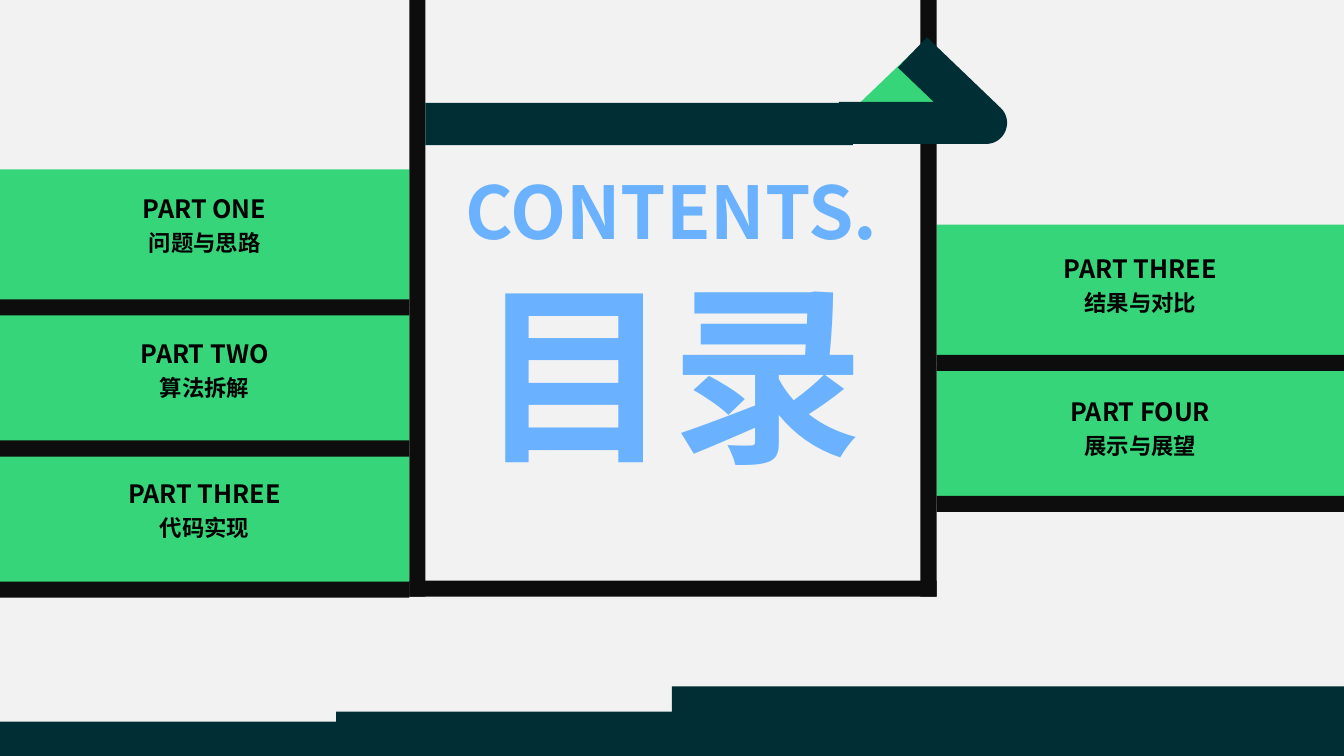
import pptx
import pptx.dml.color
import pptx.enum.shapes
import pptx.enum.text
import pptx.util
from lxml import etree

WIDTH, HEIGHT = 13.33, 7.5
BAR = 0.16
FRAME_LEFT, FRAME_RIGHT, FRAME_BOTTOM = 4.06, 9.13, 5.76
PANEL, PITCH = 1.36, 1.4
FONT = "Noto Sans CJK SC"
PAPER, GREEN, TEAL, BLACK, BLUE = "F2F2F2", "36D579", "002E35", "0D0D0D", "6AB2FF"
LEFT_PARTS = [
    ("PART ONE", "问题与思路", 1.92),
    ("PART TWO", "算法拆解", 3.36),
    ("PART THREE", "代码实现", 4.75),
]
RIGHT_PARTS = [
    ("PART THREE", "结果与对比", 2.52),
    ("PART FOUR", "展示与展望", 3.94),
]


def paint(color_format, color):
    """Apply a hex colour to a fill or a font."""
    if hasattr(color_format, "solid"):
        color_format.solid()
        color_format = color_format.fore_color
    color_format.rgb = pptx.dml.color.RGBColor.from_string(color)


def place(shape, left, top, width, height):
    """Move and size a shape in inches."""
    shape.left, shape.top, shape.width, shape.height = (
        pptx.util.Inches(length) for length in (left, top, width, height))


def add_block(slide, left, top, width, height, color):
    """Draw a plain filled rectangle."""
    shape = slide.shapes.add_shape(
        pptx.enum.shapes.MSO_SHAPE.RECTANGLE,
        *(pptx.util.Inches(length) for length in (left, top, width, height)))
    shape.shadow.inherit = False
    paint(shape.fill, color)
    shape.line.fill.background()


def write(shape, text, size, color):
    """Set one centred bold line of text in a shape."""
    frame = shape.text_frame
    frame.text = text
    frame.word_wrap = True
    frame.auto_size = pptx.enum.text.MSO_AUTO_SIZE.NONE
    frame.vertical_anchor = pptx.enum.text.MSO_ANCHOR.TOP
    frame.margin_left = frame.margin_right = frame.margin_bottom = 0
    frame.margin_top = pptx.util.Inches(0.03)
    paragraph = frame.paragraphs[0]
    paragraph.alignment = pptx.enum.text.PP_ALIGN.CENTER
    paragraph.line_spacing = 0.9
    paragraph.space_before = pptx.util.Pt(0)
    run = paragraph.runs[0]
    run.font.size = pptx.util.Pt(size)
    run.font.bold = True
    run.font.name = FONT
    paint(run.font.color, color)
    east_asian = etree.SubElement(run._r.get_or_add_rPr(), pptx.oxml.ns.qn("a:ea"))
    east_asian.set("typeface", FONT)


def add_label(slide, left, top, width, height, text, size, color):
    """Add a text box holding one line."""
    box = slide.shapes.add_textbox(0, 0, 0, 0)
    place(box, left, top, width, height)
    write(box, text, size, color)


def add_shelves(slide, left, top, width, parts):
    """Stack green panels on black shelves, each with its part name and topic."""
    tops = [top + PITCH * row for row in range(len(parts))]
    for panel_top in tops:
        add_block(slide, left, panel_top, width, PANEL, GREEN)
    for panel_top in tops:
        add_block(slide, left, panel_top + 1.29, width, BAR, BLACK)
    for name, topic, text_top in parts:
        add_label(slide, left, text_top, width, 0.33, name, 18, "000000")
        add_label(slide, left, text_top + 0.35, width, 0.3, topic, 16, "000000")


def add_steps(slide):
    """Draw three rising steps along the bottom edge."""
    quarter = WIDTH / 4
    for column, span, height in [(0, 1, 0.34), (1, 1, 0.44), (2, 2, 0.69)]:
        add_block(slide, column * quarter, HEIGHT - height, span * quarter, height, TEAL)


def add_frame(slide):
    """Draw the black uprights and the bottom bar of the centre frame."""
    for left in (FRAME_LEFT, FRAME_RIGHT):
        add_block(slide, left, 0, BAR, FRAME_BOTTOM + BAR, BLACK)
    add_block(slide, FRAME_LEFT, FRAME_BOTTOM, FRAME_RIGHT - FRAME_LEFT + BAR, BAR, BLACK)


def add_arrow(slide, left, top, width, height):
    """Draw the teal beam and its folded triangular tip."""
    add_block(slide, FRAME_LEFT + BAR, top + height - 0.2, 4.24, 0.42, TEAL)
    corners = [(left, top + height), (left + width, top + height), (left + width / 2, top)]
    points = [(pptx.util.Inches(x), pptx.util.Inches(y)) for x, y in corners]
    builder = slide.shapes.build_freeform(*points[0], scale=1.0)
    builder.add_line_segments(points[1:], close=False)
    tip = builder.convert_to_shape()
    tip.shadow.inherit = False
    paint(tip.fill, GREEN)
    paint(tip.line.fill, TEAL)
    tip.line.width = pptx.util.Pt(30)
    etree.SubElement(tip.line._get_or_add_ln(), pptx.oxml.ns.qn("a:round"))


def add_heading(slide, left, top, width):
    """Place the title and the line above it in the centre frame."""
    place(slide.shapes.title, left, top + 1.03, width, 3.03)
    write(slide.shapes.title, "目录", 138, BLUE)
    add_label(slide, left, top, width, 0.95, "CONTENTS.", 52, BLUE)


def main():
    """Build the contents slide and save it."""
    presentation = pptx.Presentation()
    presentation.slide_width = pptx.util.Inches(WIDTH)
    presentation.slide_height = pptx.util.Inches(HEIGHT)
    slide = presentation.slides.add_slide(presentation.slide_layouts[5])
    paint(slide.background.fill, PAPER)
    add_steps(slide)
    add_shelves(slide, 0, 1.68, FRAME_LEFT, LEFT_PARTS)
    right_edge = FRAME_RIGHT + BAR
    add_shelves(slide, right_edge, 2.23, WIDTH - right_edge, RIGHT_PARTS)
    add_frame(slide)
    add_arrow(slide, 8.32, 0.52, 1.46, 0.7)
    add_heading(slide, 4.43, 1.72, 4.46)
    presentation.save("out.pptx")


if __name__ == "__main__":
    main()
